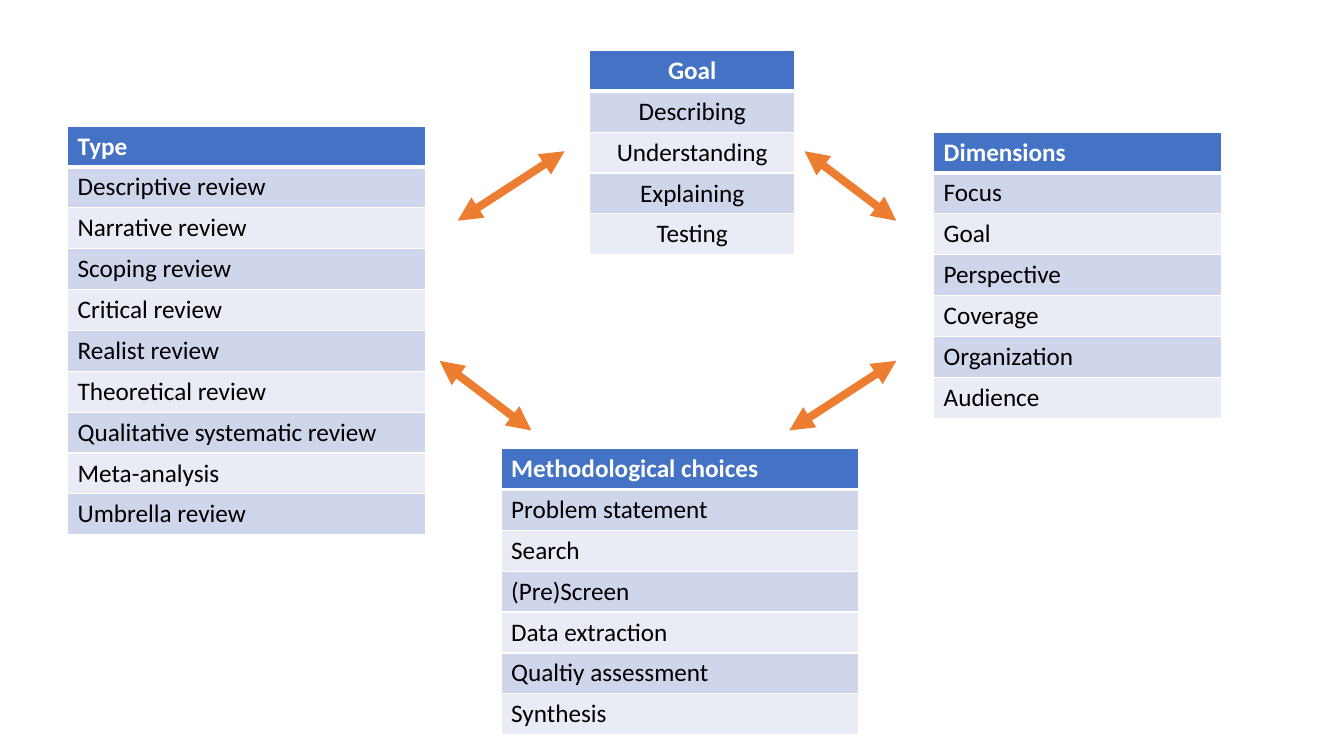
from dataclasses import dataclass

from lxml import etree
from pptx import Presentation
from pptx.dml.color import RGBColor
from pptx.enum.shapes import MSO_CONNECTOR
from pptx.enum.text import PP_ALIGN
from pptx.oxml import parse_xml
from pptx.oxml.ns import nsdecls, qn
from pptx.util import Pt

STRAIGHT = MSO_CONNECTOR.STRAIGHT
LEFT, CENTER = PP_ALIGN.LEFT, PP_ALIGN.CENTER

PX = 9144  # 100 px to the inch
ROW = 40
FONT = "Calibri"
COLORS = {
    "head": "4472C4",
    "odd": "CFD5EA",
    "even": "E9EBF5",
    "white": "FFFFFF",
    "black": "000000",
    "arrow": "ED7D31",
}


@dataclass
class List:
    left: int
    top: int
    width: int
    rows: list[str]  # the first row is the heading
    align: PP_ALIGN = LEFT


@dataclass
class Arrow:
    x1: int
    y1: int
    x2: int
    y2: int


LISTS = [
    List(585, 50, 203, ["Goal", "Describing", "Understanding", "Explaining",
                        "Testing"], CENTER),
    List(67, 125, 355, ["Type", "Descriptive review", "Narrative review",
                        "Scoping review", "Critical review", "Realist review",
                        "Theoretical review", "Qualitative systematic review",
                        "Meta-analysis", "Umbrella review"]),
    List(926, 131, 286, ["Dimensions", "Focus", "Goal", "Perspective",
                         "Coverage", "Organization", "Audience"]),
    List(497, 445, 355, ["Methodological choices", "Problem statement",
                         "Search", "(Pre)Screen", "Data extraction",
                         "Qualtiy assessment", "Synthesis"]),
]

ARROWS = [
    Arrow(560, 150, 454, 219),
    Arrow(798, 150, 889, 219),
    Arrow(436, 358, 527, 427),
    Arrow(889, 358, 783, 427),
]


def color(name: str) -> RGBColor:
    return RGBColor.from_string(COLORS[name])


def add_border(cell, side: str, width: int) -> None:
    cell._tc.get_or_add_tcPr().append(parse_xml(
        f'<a:ln{side} {nsdecls("a")} w="{Pt(width)}"><a:solidFill>'
        f'<a:srgbClr val="{COLORS["white"]}"/></a:solidFill></a:ln{side}>'))


def style_cell(cell, row: int, text: str, align: PP_ALIGN) -> None:
    # Borders come before the fill in the cell properties
    heavy = {0: "B", 1: "T"}.get(row)
    for side in "LRTB":
        add_border(cell, side, 3 if side == heavy else 1)
    band = "head" if row == 0 else "odd" if row % 2 else "even"
    cell.fill.solid()
    cell.fill.fore_color.rgb = color(band)

    cell.text = text
    para = cell.text_frame.paragraphs[0]
    para.alignment = align
    para.font.name = FONT
    para.font.size = Pt(18)
    para.font.bold = row == 0
    para.font.color.rgb = color("black" if row else "white")


def add_list(slide, item: List) -> None:
    count = len(item.rows)
    table = slide.shapes.add_table(
        count, 1, item.left * PX, item.top * PX,
        item.width * PX, count * ROW * PX).table
    for row, text in enumerate(item.rows):
        style_cell(table.cell(row, 0), row, text, item.align)


def add_arrow(slide, item: Arrow) -> None:
    line = slide.shapes.add_connector(
        STRAIGHT, item.x1 * PX, item.y1 * PX, item.x2 * PX, item.y2 * PX)
    line.line.color.rgb = color("arrow")
    line.line.width = Pt(5.75)
    props = line._element.spPr
    for end in ("a:headEnd", "a:tailEnd"):
        etree.SubElement(props.find(qn("a:ln")), qn(end), type="triangle")
    etree.SubElement(props, qn("a:effectLst"))


def main() -> None:
    deck = Presentation()
    deck.slide_width, deck.slide_height = 1333 * PX, 750 * PX
    slide = deck.slides.add_slide(deck.slide_layouts[6])

    # Four lists around the centre
    for item in LISTS:
        add_list(slide, item)

    # Double arrows between neighbours
    for item in ARROWS:
        add_arrow(slide, item)

    deck.save("out.pptx")


if __name__ == "__main__":
    main()
